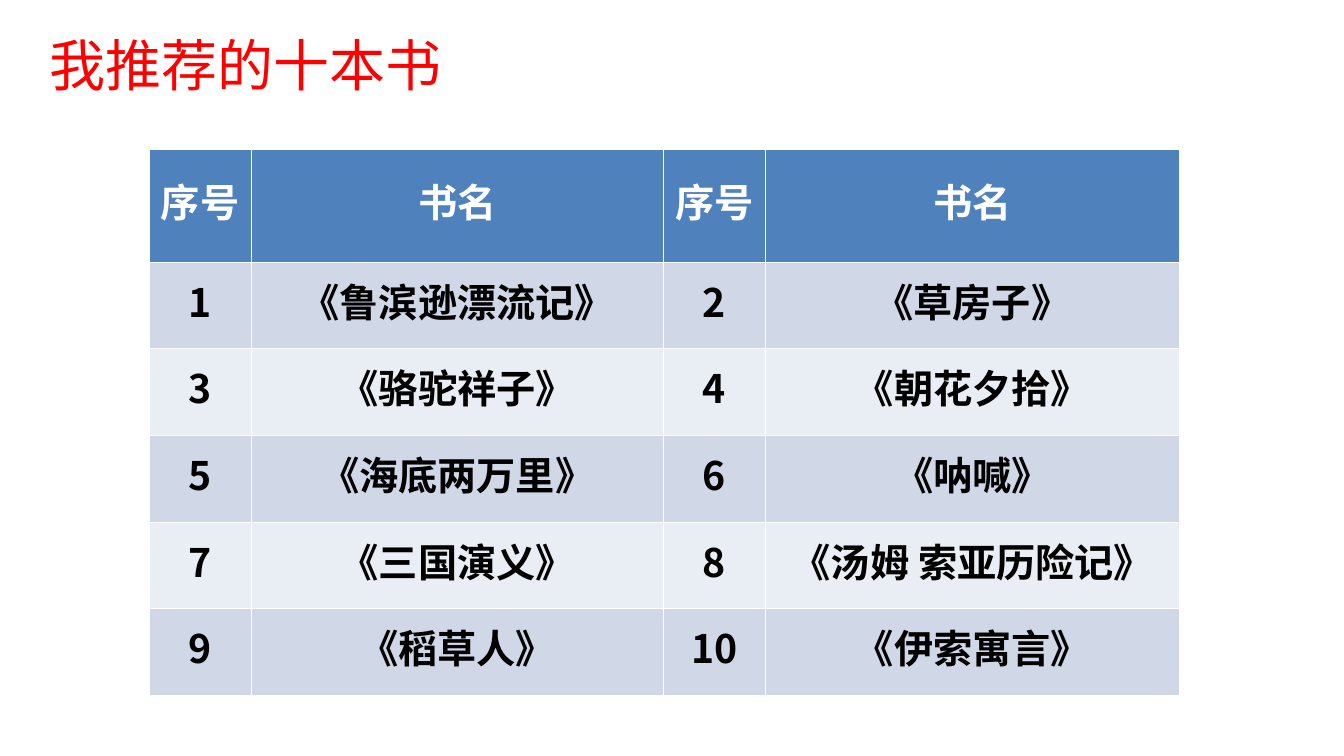
from pptx import Presentation
from pptx.dml.color import RGBColor
from pptx.enum.text import MSO_ANCHOR, PP_ALIGN
from pptx.oxml.ns import qn
from pptx.util import Inches, Pt
from lxml.etree import SubElement

FONT = "Noto Sans CJK SC"
BLUE, BAND, PALE = "4F81BD", "D0D8E8", "E9EDF4"
WHITE, BLACK, RED = "FFFFFF", "000000", "FF0000"
BOOKS = ["鲁滨逊漂流记", "草房子", "骆驼祥子", "朝花夕拾", "海底两万里",
         "呐喊", "三国演义", "汤姆 索亚历险记", "稻草人", "伊索寓言"]
WIDTHS = [1.01, 4.09, 1.01, 4.11]


def color(code):
    return RGBColor.from_string(code)


def style(para, size, code, bold, pitch, align):
    para.alignment = align
    para.line_spacing = Pt(pitch)
    for run in para.runs:
        font = run.font
        font.size, font.bold, font.name = Pt(size), bold, FONT
        font.color.rgb = color(code)
        # East Asian typeface
        SubElement(run._r.get_or_add_rPr(), qn("a:ea"), typeface=FONT)


def border(cell):
    props = cell._tc.get_or_add_tcPr()
    for spot, side in enumerate(("lnL", "lnR", "lnT", "lnB")):
        line = props.makeelement(qn("a:" + side), {"w": str(Pt(0.5))})
        fill = SubElement(line, qn("a:solidFill"))
        SubElement(fill, qn("a:srgbClr"), val=WHITE)
        props.insert(spot, line)


def add_title(slide, text):
    title = slide.shapes.title
    title.left, title.top = Inches(0.39), Inches(0.25)
    title.width, title.height = Inches(4.58), Inches(0.96)
    frame = title.text_frame
    frame.text = text
    frame.word_wrap = True
    frame.vertical_anchor = MSO_ANCHOR.TOP
    style(frame.paragraphs[0], 40, RED, False, 48, PP_ALIGN.LEFT)


def fill_cell(cell, text, back, fore):
    cell.fill.solid()
    cell.fill.fore_color.rgb = color(back)
    cell.vertical_anchor = MSO_ANCHOR.MIDDLE
    cell.text_frame.text = text
    style(cell.text_frame.paragraphs[0], 28, fore, True, 33, PP_ALIGN.CENTER)
    border(cell)


def add_books(slide):
    # Two numbered books in each row
    rows = [["序号", "书名"] * 2]
    for i in range(0, len(BOOKS), 2):
        rows.append([str(i + 1), f"《{BOOKS[i]}》",
                     str(i + 2), f"《{BOOKS[i + 1]}》"])
    table = slide.shapes.add_table(
        len(rows), len(WIDTHS), Inches(1.48), Inches(1.48),
        Inches(sum(WIDTHS)), Inches(5.4)).table
    for col, width in zip(table.columns, WIDTHS):
        col.width = Inches(width)
    for r, row in enumerate(rows):
        table.rows[r].height = Inches(0.86 if r else 1.12)
        back = (BAND if r % 2 else PALE) if r else BLUE
        for c, text in enumerate(row):
            fill_cell(table.cell(r, c), text, back, BLACK if r else WHITE)


def main():
    prs = Presentation()
    prs.slide_width, prs.slide_height = Inches(13.33), Inches(7.5)
    slide = prs.slides.add_slide(prs.slide_layouts[5])
    add_title(slide, "我推荐的十本书")
    add_books(slide)
    prs.save("out.pptx")


if __name__ == "__main__":
    main()
